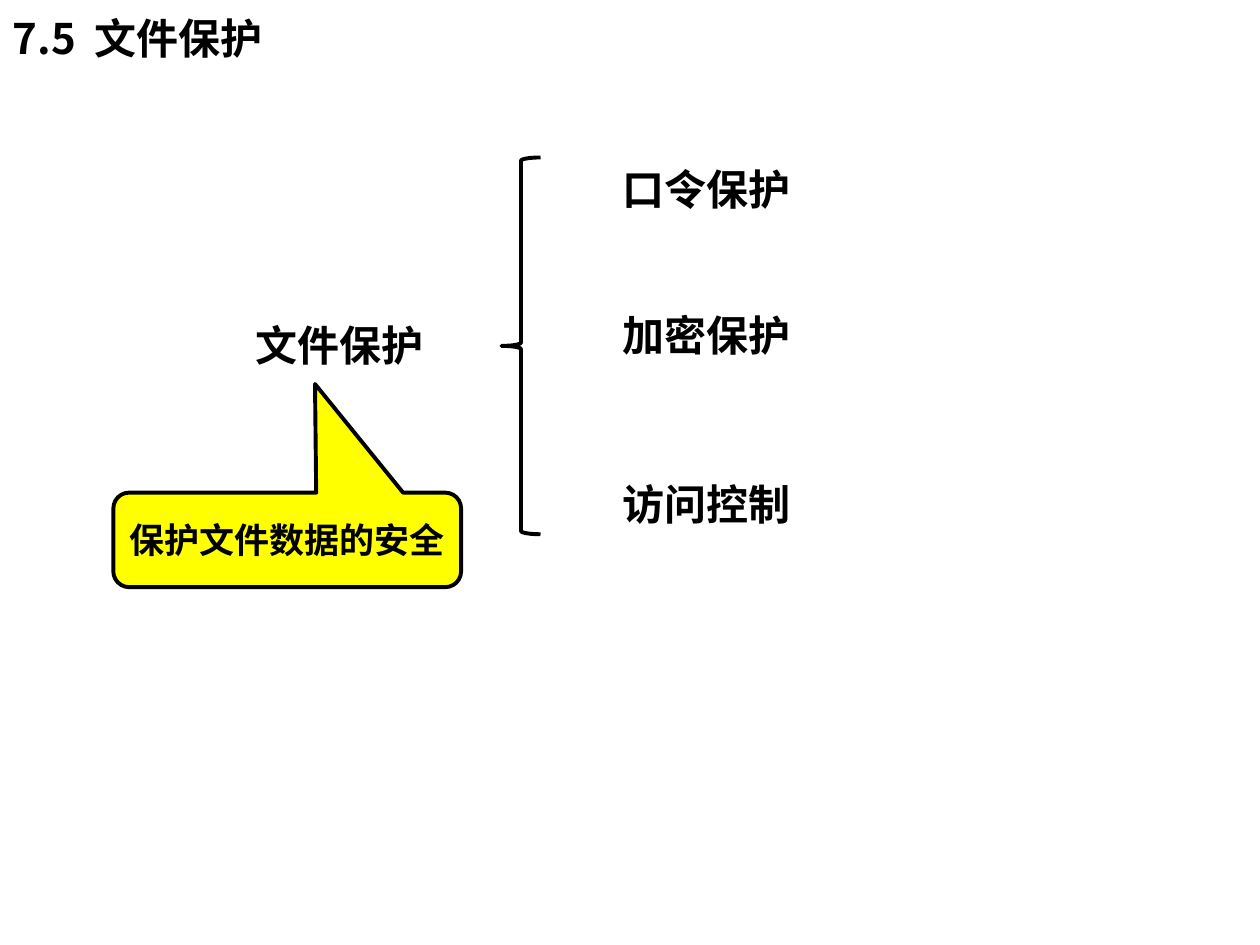
from lxml.etree import SubElement
from pptx import Presentation
from pptx.dml.color import RGBColor
from pptx.enum.shapes import MSO_SHAPE
from pptx.enum.text import MSO_ANCHOR, MSO_AUTO_SIZE, PP_ALIGN
from pptx.oxml.ns import qn
from pptx.util import Inches, Pt

COLORS = {"ink": "000000", "callout": "FFFF00", "page": "FFFFFF"}
CHINESE_FONT = "Noto Sans CJK SC"
LATIN_FONT = "Arial"


class SlideBuilder:
    def __init__(self, deck):
        self.page = deck.slides.add_slide(deck.slide_layouts[5])
        fill = self.page.background.fill
        fill.solid()
        fill.fore_color.rgb = self.color("page")

    def color(self, name):
        return RGBColor.from_string(COLORS[name])

    def set_text(self, frame, text, size=24, font_name=LATIN_FONT, align=PP_ALIGN.LEFT):
        paragraph = frame.paragraphs[0]
        paragraph.text = text
        paragraph.alignment = align
        font = paragraph.font
        font.size = Pt(size)
        font.bold = True
        font.color.rgb = self.color("ink")
        font.name = font_name
        properties = paragraph._p.pPr.find(qn("a:defRPr"))
        SubElement(properties, qn("a:ea")).set("typeface", CHINESE_FONT)

    def title(self, text, left, top, width, height):
        box = self.page.shapes.title
        box.left, box.top = Inches(left), Inches(top)
        box.width, box.height = Inches(width), Inches(height)
        box.text_frame.vertical_anchor = MSO_ANCHOR.MIDDLE
        self.set_text(box.text_frame, text, font_name=CHINESE_FONT)

    def label(self, text, left, top, width=1.77, height=0.5):
        box = self.page.shapes.add_textbox(
            Inches(left), Inches(top), Inches(width), Inches(height))
        box.text_frame.word_wrap = True
        box.text_frame.auto_size = MSO_AUTO_SIZE.SHAPE_TO_FIT_TEXT
        self.set_text(box.text_frame, text)

    def outline(self, kind, left, top, width, height):
        shape = self.page.shapes.add_shape(
            kind, Inches(left), Inches(top), Inches(width), Inches(height))
        shape.shadow.inherit = False
        shape.fill.background()
        shape.line.color.rgb = self.color("ink")
        shape.line.width = Pt(2.25)
        return shape

    def brace(self, left, top, width, height):
        self.outline(MSO_SHAPE.LEFT_BRACE, left, top, width, height)

    def callout(self, text, left, top, width, height, pointer):
        shape = self.outline(
            MSO_SHAPE.ROUNDED_RECTANGULAR_CALLOUT, left, top, width, height)
        shape.adjustments[0], shape.adjustments[1] = pointer
        shape.fill.solid()
        shape.fill.fore_color.rgb = self.color("callout")
        frame = shape.text_frame
        frame.word_wrap = False
        frame.vertical_anchor = MSO_ANCHOR.MIDDLE
        self.set_text(frame, text, size=20, align=PP_ALIGN.CENTER)


def main():
    deck = Presentation()
    deck.slide_width, deck.slide_height = Inches(10), Inches(7.5)
    builder = SlideBuilder(deck)
    builder.title("7.5  文件保护", 0, 0.05, 10, 0.5)
    builder.label("文件保护", 1.93, 2.49)
    builder.brace(3.98, 1.25, 0.31, 2.99)
    methods = {"口令保护": 1.25, "加密保护": 2.41, "访问控制": 3.75}
    for method, top in methods.items():
        builder.label(method, 4.84, top)
    builder.callout("保护文件数据的安全", 0.9, 3.91, 2.76, 0.75, (0.08, -1.65))
    deck.save("out.pptx")


if __name__ == "__main__":
    main()
